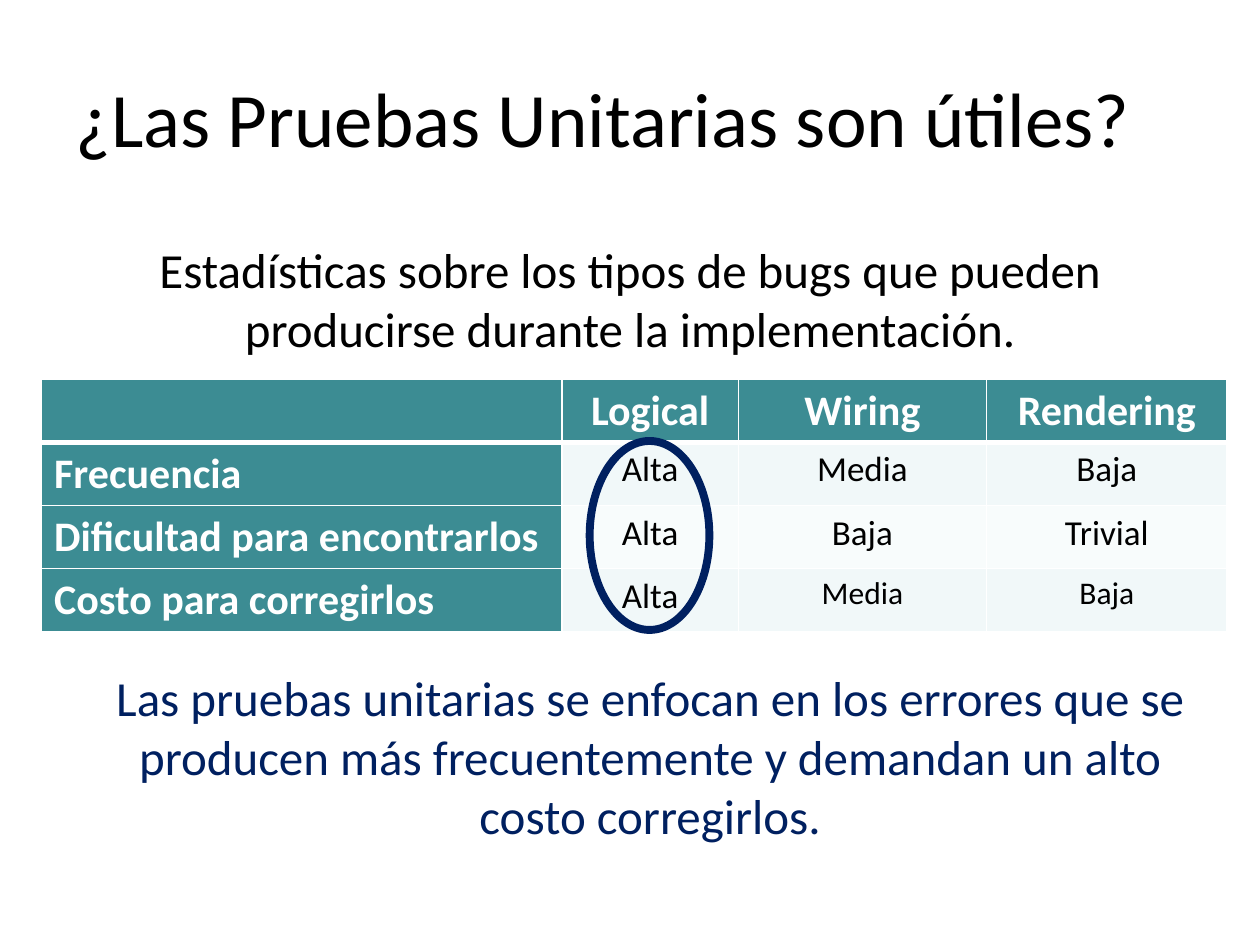
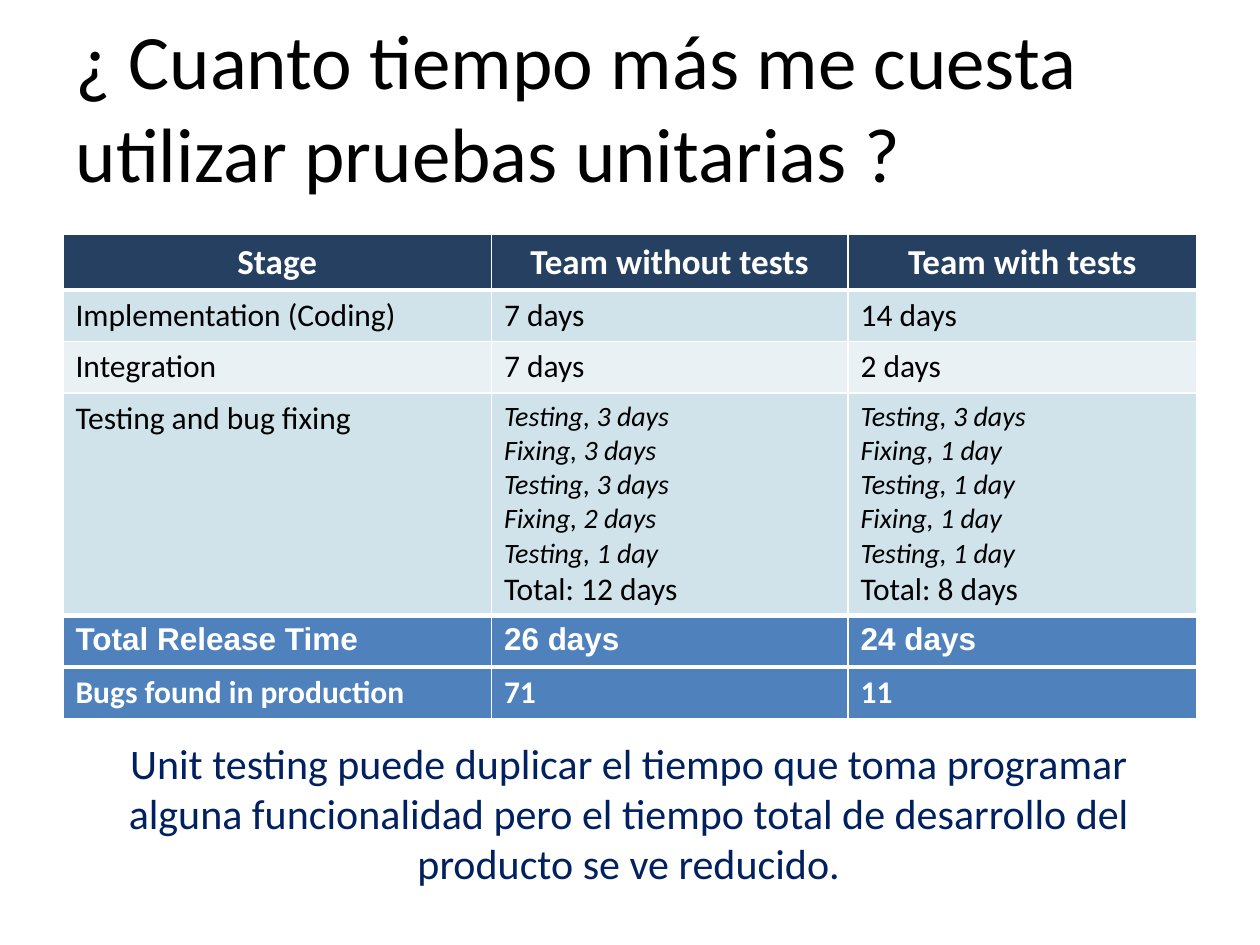
from dataclasses import dataclass
from typing import Any

import pptx
import pptx.util
from pptx.dml.color import RGBColor
from pptx.enum.shapes import MSO_SHAPE
from pptx.enum.text import MSO_ANCHOR, MSO_AUTO_SIZE, PP_ALIGN
from pptx.oxml.ns import qn
from lxml import etree

EMU_PER_PX = 9144  # 100 px to the inch
COLORS = {
    "black": "000000", "white": "FFFFFF", "navy": "002060",
    "teal": "3C8C93", "mint": "F1F8F9", "pale_mint": "F8FCFC",
    "dark_blue": "254061", "sky": "D0E3EA", "pale_sky": "E9F1F5", "blue": "4F81BD",
}
LEFT, CENTER = PP_ALIGN.LEFT, PP_ALIGN.CENTER


@dataclass(frozen=True)
class Style:
    size: int
    color: str = "black"
    bold: bool = False
    italic: bool = False
    font: str = "Calibri"
    align: PP_ALIGN = LEFT


@dataclass(frozen=True)
class Box:
    left: int
    top: int
    width: int
    height: int

    def emu(self) -> tuple[int, ...]:
        return tuple(px(n) for n in (self.left, self.top, self.width, self.height))


@dataclass(frozen=True)
class Cell:
    text: str
    fill: str
    style: Style
    details: tuple[str, ...] = ()


TITLE = Style(44)
INTRO = Style(28, align=CENTER)
DETAIL = Style(16, italic=True)


def px(n: int) -> int:
    return pptx.util.Emu(n * EMU_PER_PX)


def rgb(name: str) -> RGBColor:
    return RGBColor.from_string(COLORS[name])


def write(tf: Any, lines: list[tuple[str, Style]]) -> None:
    """Put one styled paragraph per line into a text frame."""
    for i, (text, style) in enumerate(lines):
        p = tf.add_paragraph() if i else tf.paragraphs[0]
        p.alignment = style.align
        r = p.add_run()
        r.text = text
        values = {"size": pptx.util.Pt(style.size), "bold": style.bold,
                  "italic": style.italic, "name": style.font}
        for name, value in values.items():
            setattr(r.font, name, value)
        r.font.color.rgb = rgb(style.color)


def add_titled_slide(prs: Any, title: str, top: int) -> Any:
    s = prs.slides.add_slide(prs.slide_layouts[5])
    sp = s.shapes.title
    sp.left, sp.top, sp.width, sp.height = Box(50, top, 900, 125).emu()
    tf = sp.text_frame
    tf.word_wrap, tf.auto_size = True, MSO_AUTO_SIZE.NONE
    tf.vertical_anchor = MSO_ANCHOR.MIDDLE
    write(tf, [(title, TITLE)])
    return s


def add_text(s: Any, box: Box, text: str, style: Style) -> None:
    tf = s.shapes.add_textbox(*box.emu()).text_frame
    tf.word_wrap = True
    write(tf, [(text, style)])


def add_border(cell: Any, side: str, points: int) -> None:
    tc_pr = cell._tc.get_or_add_tcPr()
    ln = etree.SubElement(tc_pr, qn(f"a:ln{side}"), w=str(pptx.util.Pt(points)))
    fill = etree.SubElement(ln, qn("a:solidFill"))
    etree.SubElement(fill, qn("a:srgbClr"), val=COLORS["white"])


def add_table(s: Any, left: int, top: int, widths: list[int], heights: list[int],
              rows: list[list[Cell]], thick_edges: set[int]) -> None:
    """Draw a table; thick_edges numbers the horizontal rules that are 3 pt wide."""
    box = Box(left, top, sum(widths), sum(heights))
    table = s.shapes.add_table(len(rows), len(widths), *box.emu()).table
    table.first_row = table.horz_banding = False
    for column, width in zip(table.columns, widths):
        column.width = px(width)
    for i, (row, height) in enumerate(zip(rows, heights)):
        table.rows[i].height = px(height)
        for j, spec in enumerate(row):
            cell = table.cell(i, j)
            edges = {"L": 1, "R": 1, "T": 3 if i in thick_edges else 1,
                     "B": 3 if i + 1 in thick_edges else 1}
            for side, points in edges.items():
                add_border(cell, side, points)
            cell.fill.solid()
            cell.fill.fore_color.rgb = rgb(spec.fill)
            lines = [(text, DETAIL) for text in spec.details]
            if spec.text:
                lines.append((spec.text, spec.style))
            write(cell.text_frame, lines)


def add_ring(s: Any, box: Box) -> None:
    sp = s.shapes.add_shape(MSO_SHAPE.OVAL, *box.emu())
    sp.shadow.inherit = False
    sp.fill.background()
    sp.line.color.rgb = rgb("navy")
    sp.line.width = pptx.util.Pt(4.5)


def build_usefulness_slide(prs: Any) -> None:
    s = add_titled_slide(prs, "¿Las Pruebas Unitarias son útiles?", 30)
    add_text(s, Box(74, 185, 852, 104),
             "Estadísticas sobre los tipos de bugs que pueden producirse "
             "durante la implementación.", INTRO)

    header = Style(24, "white", bold=True, align=CENTER)
    label = Style(24, "white", bold=True)
    rating, small_rating = Style(20, align=CENTER), Style(18, align=CENTER)
    rows = [[Cell(t, "teal", header) for t in ("", "Logical", "Wiring", "Rendering")]]
    criteria = [
        ("Frecuencia", "mint", ("Alta", "Media", "Baja"), rating),
        ("Dificultad para encontrarlos", "pale_mint", ("Alta", "Baja", "Trivial"), rating),
        ("Costo para corregirlos", "mint", ("Alta", "Media", "Baja"), small_rating),
    ]
    for name, fill, (logical, *others), style in criteria:
        rows.append([Cell(name, "teal", label), Cell(logical, fill, rating),
                     *(Cell(t, fill, style) for t in others)])
    add_table(s, 33, 301, [413, 140, 197, 191], [50] * 4, rows, {1})

    add_ring(s, Box(468, 350, 95, 150))
    add_text(s, Box(71, 525, 890, 150),
             "Las pruebas unitarias se enfocan en los errores que se producen más "
             "frecuentemente y demandan un alto costo corregirlos.",
             Style(28, "navy", align=CENTER))


def build_cost_slide(prs: Any) -> None:
    s = add_titled_slide(
        prs, "¿ Cuanto tiempo más me cuesta utilizar pruebas unitarias ?", 21)

    header = Style(20, "white", bold=True, align=CENTER)
    body = Style(18)
    release = Style(18, "white", bold=True, font="Arial")
    bugs = Style(18, "white", bold=True)
    without_steps = ("Testing, 3 days", "Fixing, 3 days", "Testing, 3 days",
                     "Fixing, 2 days", "Testing, 1 day")
    with_steps = ("Testing, 3 days", "Fixing, 1 day", "Testing, 1 day",
                  "Fixing, 1 day", "Testing, 1 day")
    stages = [
        (("Stage", "Team without tests", "Team with tests"), "dark_blue", header),
        (("Implementation (Coding)", "7 days", "14 days"), "sky", body),
        (("Integration", "7 days", "2 days"), "pale_sky", body),
        (("Testing and bug fixing", "Total: 12 days", "Total: 8 days"), "sky", body),
        (("Total Release Time", "26 days", "24 days"), "blue", release),
        (("Bugs found in production", "71", "11"), "blue", bugs),
    ]
    rows = [[Cell(t, fill, style) for t in texts] for texts, fill, style in stages]
    testing = rows[3]
    for j, steps in enumerate((without_steps, with_steps), start=1):
        testing[j] = Cell(testing[j].text, "sky", body, steps)
    add_table(s, 50, 186, [340, 283, 277], [43, 41, 41, 176, 41, 41], rows, {1, 4, 5})

    add_text(s, Box(50, 580, 898, 131),
             "Unit testing puede duplicar el tiempo que toma programar alguna "
             "funcionalidad pero el tiempo total de desarrollo del producto se ve reducido.",
             Style(24, "navy", align=CENTER))


def main() -> None:
    prs = pptx.Presentation()
    prs.slide_width, prs.slide_height = px(1000), px(750)
    build_usefulness_slide(prs)
    build_cost_slide(prs)
    prs.save("out.pptx")


if __name__ == "__main__":
    main()
